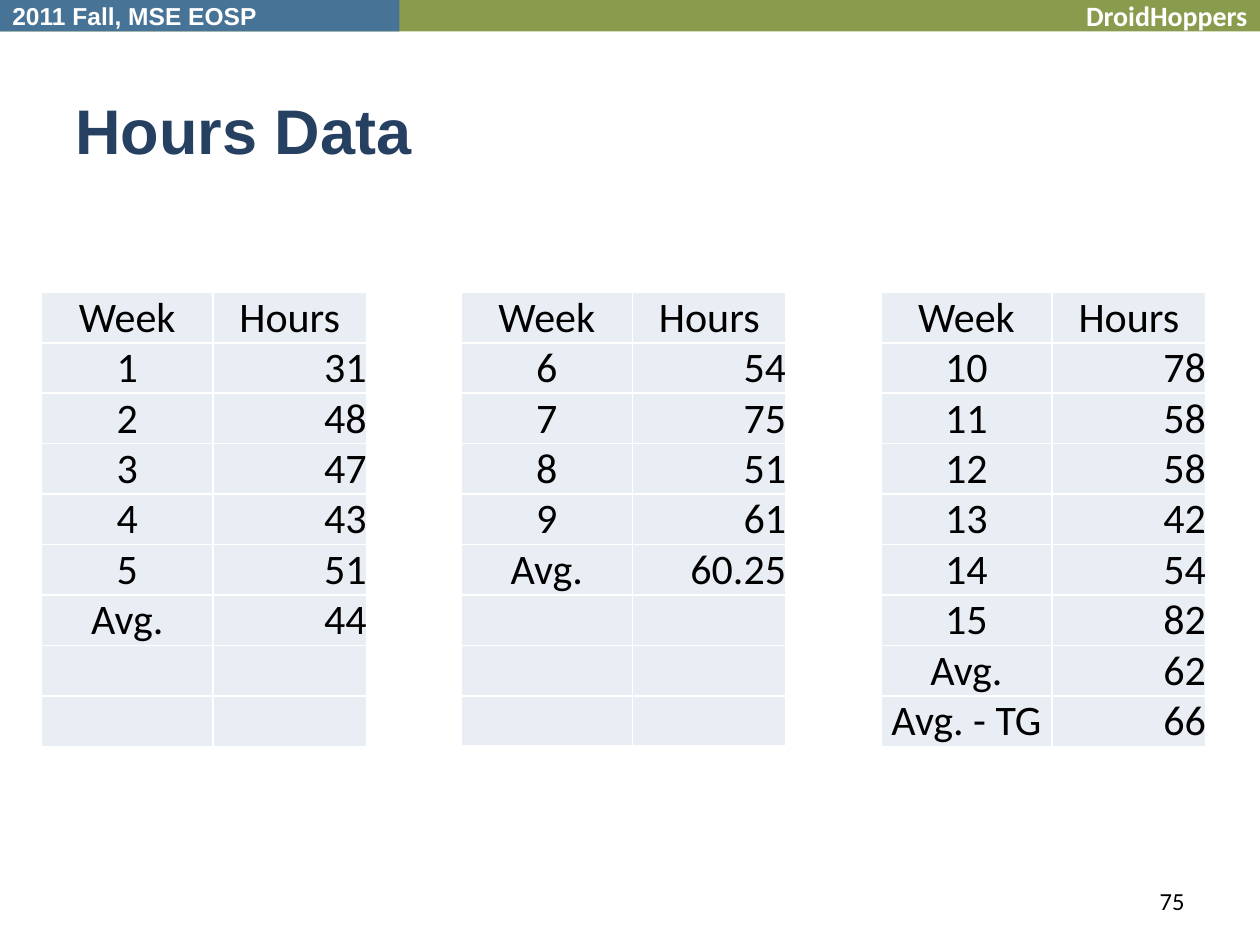
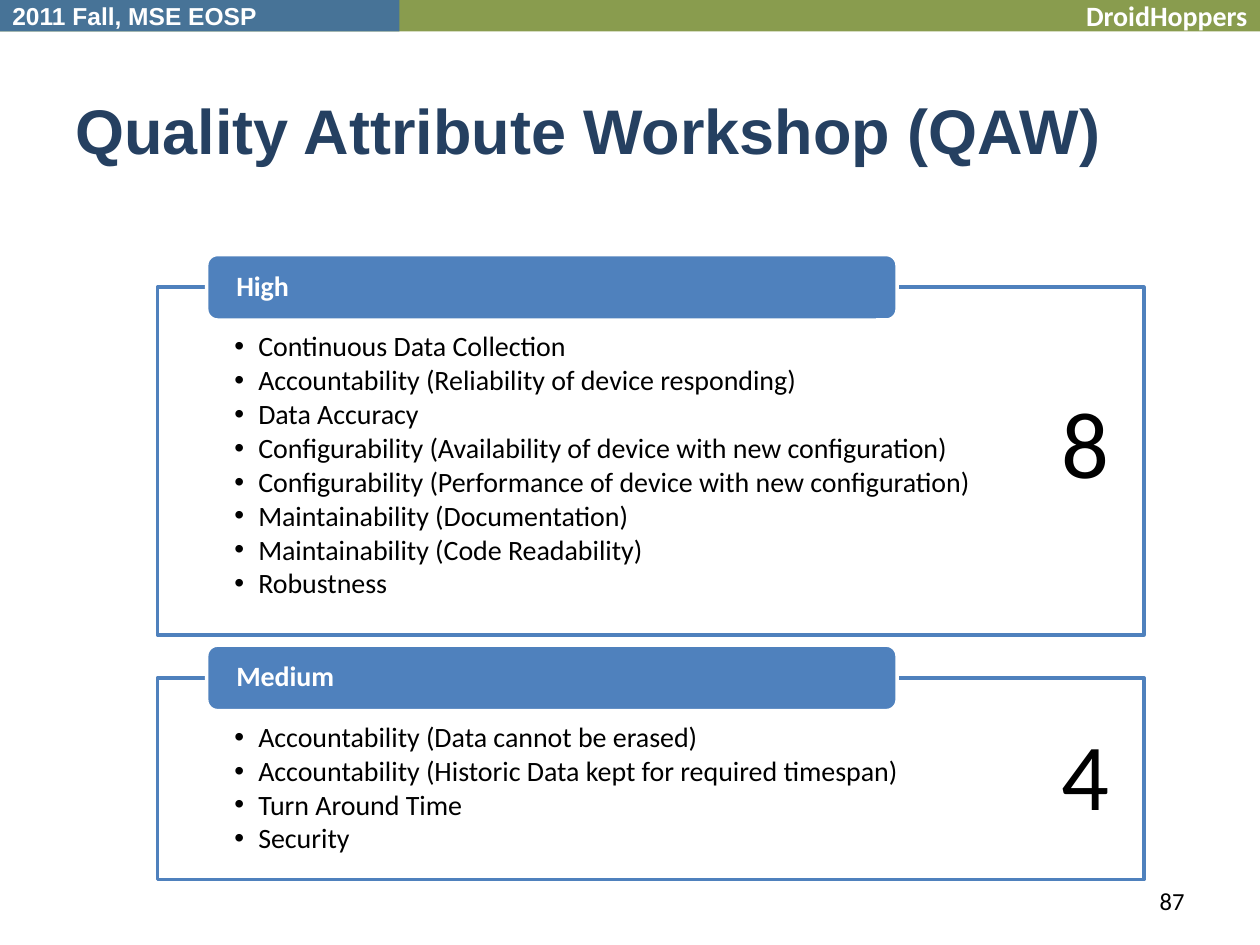
from lxml import etree
from pptx import Presentation
from pptx.dml.color import RGBColor
from pptx.enum.shapes import MSO_SHAPE
from pptx.enum.text import MSO_ANCHOR, PP_ALIGN
from pptx.oxml.ns import qn
from pptx.util import Inches, Pt

RECTANGLE, ROUNDED = MSO_SHAPE.RECTANGLE, MSO_SHAPE.ROUNDED_RECTANGLE
TOP, MIDDLE, BOTTOM = MSO_ANCHOR.TOP, MSO_ANCHOR.MIDDLE, MSO_ANCHOR.BOTTOM
LEFT, CENTER, RIGHT = PP_ALIGN.LEFT, PP_ALIGN.CENTER, PP_ALIGN.RIGHT

BLACK = RGBColor(0x00, 0x00, 0x00)
WHITE = RGBColor(0xFF, 0xFF, 0xFF)
GREEN = RGBColor(0x89, 0x9C, 0x4E)
STEEL = RGBColor(0x47, 0x73, 0x97)
NAVY = RGBColor(0x25, 0x40, 0x61)
BLUE = RGBColor(0x4F, 0x81, 0xBD)
PALE = RGBColor(0xE9, 0xED, 0xF4)

HEADING_FONT, BODY_FONT = "Arial", "Calibri"
DEFAULT_INSETS = (0.1, 0.05, 0.1, 0.05)

TABLE_ROWS = 9
WEEKLY_HOURS = [
    [("1", "31"), ("2", "48"), ("3", "47"), ("4", "43"), ("5", "51"), ("Avg.", "44")],
    [("6", "54"), ("7", "75"), ("8", "51"), ("9", "61"), ("Avg.", "60.25")],
    [("10", "78"), ("11", "58"), ("12", "58"), ("13", "42"), ("14", "54"), ("15", "82"),
     ("Avg.", "62"), ("Avg. - TG", "66")],
]
HIGH_ATTRIBUTES = [
    "Continuous Data Collection",
    "Accountability (Reliability of device responding)",
    "Data Accuracy",
    "Configurability (Availability of device with new configuration)",
    "Configurability (Performance of device with new configuration)",
    "Maintainability (Documentation)",
    "Maintainability (Code Readability)",
    "Robustness",
]
MEDIUM_ATTRIBUTES = [
    "Accountability (Data cannot be erased)",
    "Accountability (Historic Data kept for required timespan)",
    "Turn Around Time",
    "Security",
]


class Deck:
    """Holds the presentation style and the slide being built."""

    def __init__(self):
        self.presentation = Presentation()
        self.presentation.slide_width = Inches(10)
        self.presentation.slide_height = Inches(7.5)
        self.slide = None

    def start_slide(self, title, number):
        self.slide = self.presentation.slides.add_slide(self.presentation.slide_layouts[6])
        self.band(10, GREEN, "DroidHoppers", 16, BODY_FONT, RIGHT)
        self.band(3.17, STEEL, "2011 Fall, MSE EOSP", 14, HEADING_FONT, LEFT)
        self.text_box((0.5, 0.55, 9, 0.95), title, 36, NAVY, HEADING_FONT, bold=True)
        self.text_box((7.17, 6.95, 2.33, 0.4), number, 14, align=RIGHT)

    def add_text(self, paragraph, text, size, color=BLACK, font=BODY_FONT, bold=False,
                 align=LEFT):
        paragraph.alignment = align
        run = paragraph.add_run()
        run.text = text
        run.font.size = Pt(size)
        run.font.name = font
        run.font.bold = bold
        run.font.color.rgb = color

    def frame(self, shape, anchor=MIDDLE, insets=DEFAULT_INSETS):
        frame = shape.text_frame
        frame.word_wrap = True
        frame.vertical_anchor = anchor
        (frame.margin_left, frame.margin_top,
         frame.margin_right, frame.margin_bottom) = map(Inches, insets)
        return frame

    def text_box(self, box, text, size, color=BLACK, font=BODY_FONT, bold=False,
                 align=LEFT, anchor=MIDDLE):
        shape = self.slide.shapes.add_textbox(*map(Inches, box))
        paragraph = self.frame(shape, anchor).paragraphs[0]
        self.add_text(paragraph, text, size, color, font, bold, align)

    def block(self, kind, box, fill, line=None):
        shape = self.slide.shapes.add_shape(kind, *map(Inches, box))
        shape.shadow.inherit = False
        shape.fill.solid()
        shape.fill.fore_color.rgb = fill
        if line is None:
            shape.line.fill.background()
        else:
            shape.line.color.rgb = line
            shape.line.width = Pt(2)
        return shape

    def band(self, width, fill, text, size, font, align):
        shape = self.block(RECTANGLE, (0, 0, width, 0.25), fill)
        self.add_text(self.frame(shape).paragraphs[0], text, size, WHITE, font, True, align)

    def cell(self, cell, text, align):
        cell.margin_left = cell.margin_top = cell.margin_right = cell.margin_bottom = 0
        cell.vertical_anchor = BOTTOM
        self.add_text(cell.text_frame.paragraphs[0], text, 24, align=align)
        properties = cell._tc.get_or_add_tcPr()
        for side in ("a:lnL", "a:lnR", "a:lnT", "a:lnB"):
            border = etree.SubElement(properties, qn(side), w=str(Pt(1)))
            fill = etree.SubElement(border, qn("a:solidFill"))
            etree.SubElement(fill, qn("a:srgbClr"), val=str(WHITE))
        cell.fill.solid()
        cell.fill.fore_color.rgb = PALE

    def hours_table(self, left, weeks):
        box = map(Inches, (left, 2.32, 2.58, 0.4 * TABLE_ROWS))
        table = self.slide.shapes.add_table(TABLE_ROWS, 2, *box).table
        table.first_row = table.horz_banding = False
        for column, width in zip(table.columns, (1.36, 1.22)):
            column.width = Inches(width)
        rows = [("Week", "Hours")] + weeks
        rows += [("", "")] * (TABLE_ROWS - len(rows))
        for index, (week, hours) in enumerate(rows):
            self.cell(table.cell(index, 0), week, CENTER)
            self.cell(table.cell(index, 1), hours, RIGHT if index else CENTER)

    def bullet(self, paragraph, text):
        properties = paragraph._p.get_or_add_pPr()
        properties.set("marL", str(Inches(0.19)))
        properties.set("indent", str(-Inches(0.19)))
        etree.SubElement(properties, qn("a:buFont"), typeface=HEADING_FONT)
        etree.SubElement(properties, qn("a:buChar"), char="•")
        paragraph.line_spacing = 0.9
        paragraph.space_after = Pt(2.1)
        self.add_text(paragraph, text, 16)

    def priority_panel(self, top, height, heading, attributes, count_top):
        panel = self.block(RECTANGLE, (1.25, top, 7.83, height), WHITE, BLUE)
        frame = self.frame(panel, TOP, (0.61, 0.36, 0.61, 0.12))
        for index, attribute in enumerate(attributes):
            paragraph = frame.add_paragraph() if index else frame.paragraphs[0]
            self.bullet(paragraph, attribute)
        tab = self.block(ROUNDED, (1.64, top - 0.26, 5.48, 0.52), BLUE, WHITE)
        paragraph = self.frame(tab, insets=(0.21, 0, 0.21, 0)).paragraphs[0]
        paragraph.line_spacing = 0.9
        self.add_text(paragraph, heading, 16, WHITE, bold=True)
        self.text_box((8.33, count_top, 0.56, 1.01), str(len(attributes)), 54, anchor=TOP)


def main():
    deck = Deck()

    deck.start_slide("Hours Data", "75")
    for index, weeks in enumerate(WEEKLY_HOURS):
        deck.hours_table(0.33 + 3.33 * index, weeks)

    deck.start_slide("Quality Attribute Workshop (QAW)", "87")
    deck.priority_panel(2.28, 2.76, "High", HIGH_ATTRIBUTES, 3)
    deck.priority_panel(5.38, 1.6, "Medium", MEDIUM_ATTRIBUTES, 5.63)

    deck.presentation.save("out.pptx")


if __name__ == "__main__":
    main()
